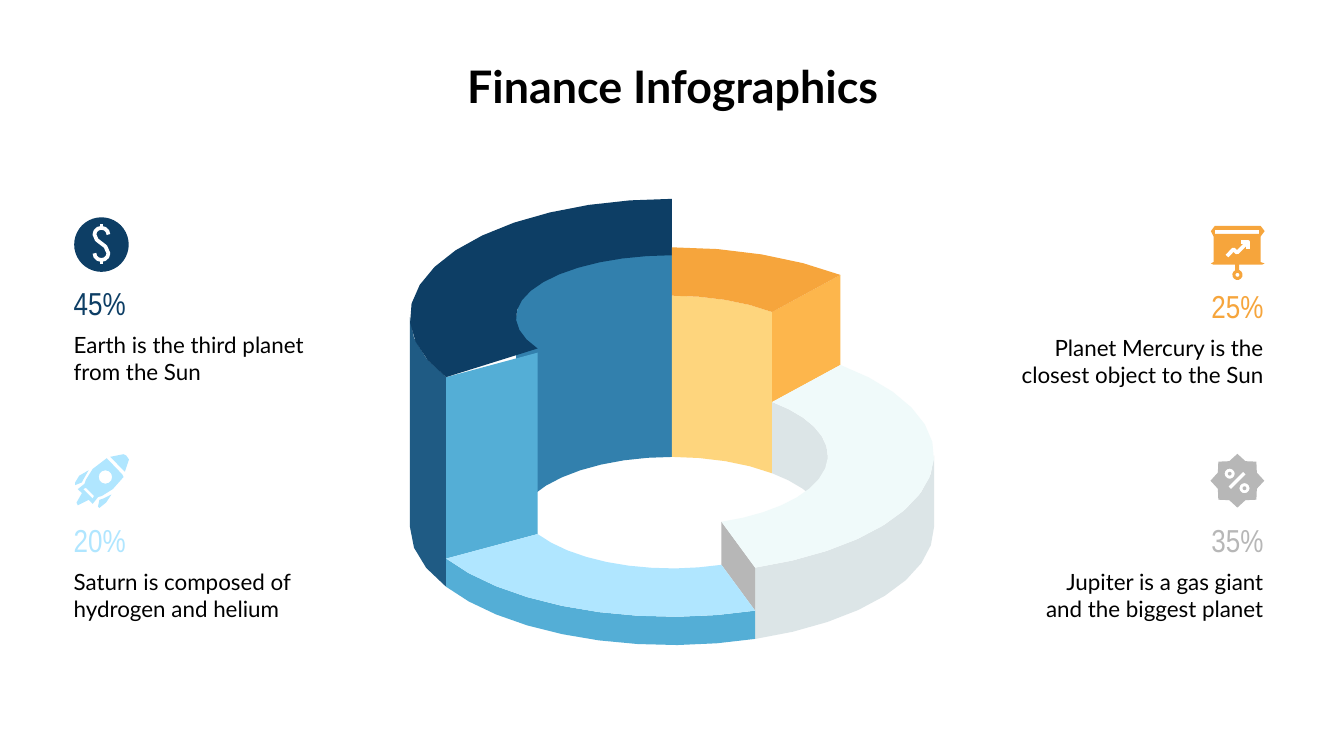
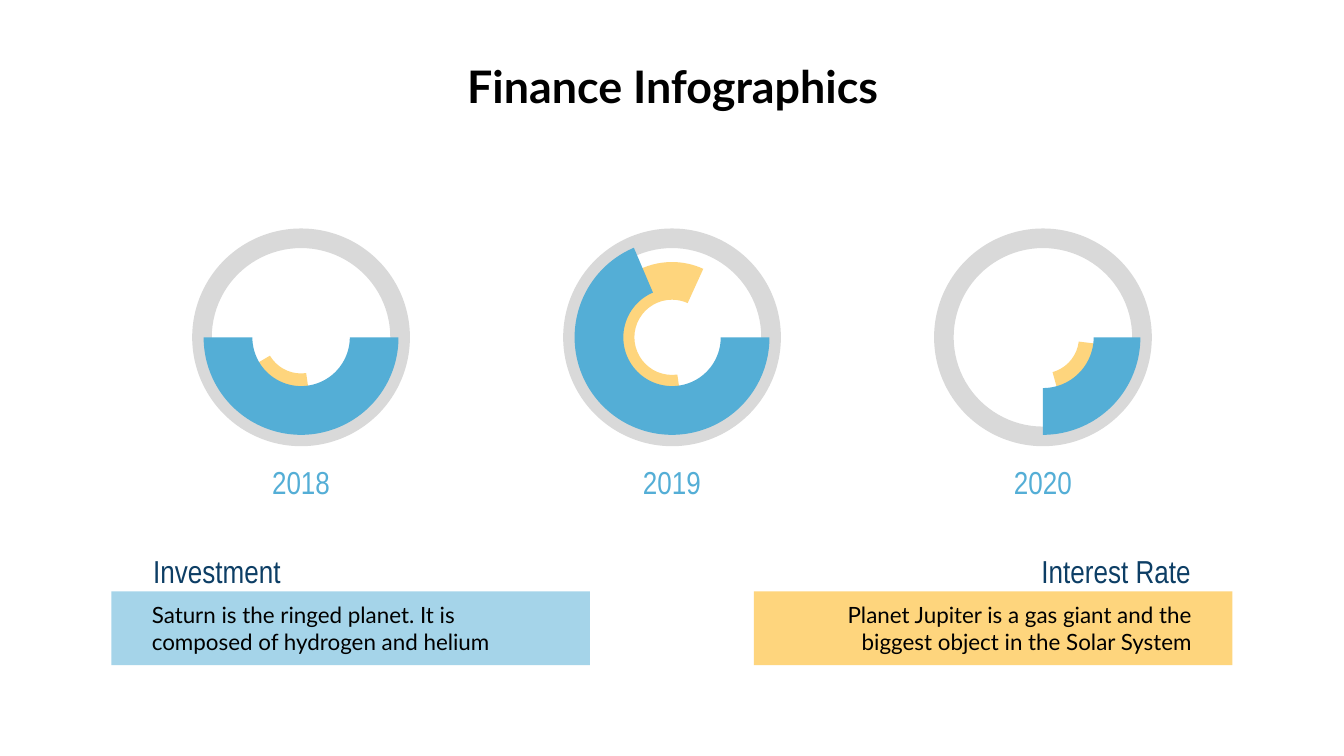
from dataclasses import dataclass
from math import cos, radians, sin

from lxml.etree import SubElement
from pptx import Presentation
from pptx.dml.color import RGBColor
from pptx.enum.shapes import MSO_SHAPE
from pptx.enum.text import MSO_ANCHOR, PP_ALIGN
from pptx.oxml.ns import qn
from pptx.util import Inches, Pt


@dataclass(frozen=True)
class Theme:
    black: str = "000000"
    white: str = "FFFFFF"
    navy: str = "0D3E65"
    deep_blue: str = "1F5B84"
    steel: str = "3280AD"
    blue: str = "54AED6"
    pale_blue: str = "B0E6FF"
    orange: str = "F6A53C"
    amber: str = "FDB64C"
    yellow: str = "FED57D"
    gray: str = "B7B7B7"
    ring_gray: str = "D9D9D9"
    mist: str = "DCE5E7"
    ice: str = "F0FAFA"
    text_font: str = "Lato"
    label_font: str = "Arial Narrow"
    title_size: int = 24
    label_size: int = 17
    text_size: int = 12


theme = Theme()
deck = Presentation()
deck.slide_width = Inches(10)
deck.slide_height = Inches(5.625)
column = deck.slide_width // 100


def write(page, text, left, top, width, height, *, preset=None, fill=None, alpha=None,
          adjust=(), rotation=0, size=theme.text_size, font=theme.text_font,
          color=theme.black, bold=False, align=PP_ALIGN.LEFT, anchor=MSO_ANCHOR.MIDDLE,
          inset_left=1, inset_right=1):
    place = [round(length * column) for length in (left, top, width, height)]
    if preset is None:
        box = page.shapes.add_textbox(*place)
    else:
        box = page.shapes.add_shape(preset, *place)
        box.shadow.inherit = False
        box.line.fill.background()
        box.fill.solid()
        box.fill.fore_color.rgb = RGBColor.from_string(fill)
        box.rotation = rotation
        for index, value in enumerate(adjust):
            box.adjustments[index] = value
        if alpha:
            tint = box.fill._xPr.find(".//" + qn("a:srgbClr"))
            SubElement(tint, qn("a:alpha")).set("val", str(alpha * 1000))
    if not text:
        return
    frame = box.text_frame
    frame.word_wrap = True
    frame.vertical_anchor = anchor
    frame.margin_top = frame.margin_bottom = column
    frame.margin_left = round(inset_left * column)
    frame.margin_right = round(inset_right * column)
    para = frame.paragraphs[0]
    para.alignment = align
    for number, line in enumerate(text.split("\n")):
        if number:
            para.add_line_break()
        span = para.add_run()
        span.text = line
        span.font.size = Pt(size)
        span.font.name = font
        span.font.bold = bold
        span.font.color.rgb = RGBColor.from_string(color)


def outline(page, contours, fill=None, stroke=None, weight=2):
    builder = None
    for contour in contours:
        points = []
        for part in contour:
            if len(part) == 2:
                points.append(part)
                continue
            x, y, across, down, start, end = part
            steps = max(3, round(abs(end - start) / (9 if across > 1 else 30)))
            for step in range(steps + 1):
                angle = radians(start + (end - start) * step / steps)
                points.append((x + across * cos(angle), y + down * sin(angle)))
        points = [(x * column, y * column) for x, y in points]
        if builder is None:
            builder = page.shapes.build_freeform(*points[0], scale=1.0)
        else:
            builder.move_to(*points[0])
        builder.add_line_segments(points[1:], close=fill is not None)
    shape = builder.convert_to_shape()
    shape.shadow.inherit = False
    if fill:
        shape.fill.solid()
        shape.fill.fore_color.rgb = RGBColor.from_string(fill)
        shape.line.fill.background()
    else:
        shape.fill.background()
        shape.line.color.rgb = RGBColor.from_string(stroke)
        shape.line.width = Pt(weight)


pages = []
for number in range(2):
    page = deck.slides.add_slide(deck.slide_layouts[6])
    write(page, "Finance Infographics", 2, 3.4, 96.1, 6.3, size=theme.title_size,
          bold=True, align=PP_ALIGN.CENTER, anchor=MSO_ANCHOR.TOP)
    pages.append(page)
ring_page, years_page = pages

center, base = 50, 39.2
outer, inner = (19.5, 8.8), (11.6, 5.2)
slices = [
    (23.6, 149.5, 270, (11.6, 4.6), theme.navy),
    (27.2, -90, -50, inner, theme.orange),
    (33.9, -50, 71.5, inner, theme.ice),
    (37.1, 71.5, 149.5, inner, theme.pale_blue),
]
walls = [
    (23.6, 180, 270, inner, theme.steel),
    (27.2, -90, -50, inner, theme.yellow),
    (33.9, -50, 0, inner, theme.mist),
    (23.6, 149.5, 180, outer, theme.deep_blue),
    (33.9, 0, 71.5, outer, theme.mist),
    (37.1, 71.5, 149.5, outer, theme.blue),
]
cuts = [
    (23.6, 37.1, 149.5, theme.blue),
    (27.2, 33.9, -50, theme.amber),
    (33.9, 37.1, 71.5, theme.gray),
]
for level, start, end, radius, color in walls:
    outline(ring_page, [[(center, level, *radius, start, end),
                         (center, base, *radius, end, start)]], fill=color)
for upper, lower, angle, color in cuts:
    corners = [(center + across * cos(radians(angle)), level + down * sin(radians(angle)))
               for level, radii in ((upper, (inner, outer)), (lower, (outer, inner)))
               for across, down in radii]
    outline(ring_page, [corners], fill=color)
for level, start, end, hole, color in slices:
    outline(ring_page, [[(center, level, *outer, start, end),
                         (center, level, *hole, end, start)]], fill=color)

facts = [
    (4.5, 20.2, "45%", "Earth is the third planet from the Sun", theme.navy, PP_ALIGN.LEFT),
    (4.5, 37.8, "20%", "Saturn is composed of hydrogen and helium", theme.pale_blue, PP_ALIGN.LEFT),
    (72.7, 20.4, "25%", "Planet Mercury is the closest object to the Sun", theme.orange, PP_ALIGN.RIGHT),
    (72.7, 37.8, "35%", "Jupiter is a gas giant\nand the biggest planet", theme.gray, PP_ALIGN.RIGHT),
]
for left, top, share, fact, color, align in facts:
    write(ring_page, share, left, top, 22.3, 4.7, size=theme.label_size,
          font=theme.label_font, color=color, align=align)
    write(ring_page, fact, left, top + 3.55, 22.3, 5.8, align=align)

coin = [[(7.55, 18.2, 2.03, 2.03, 0, 360)]]
dollar = [
    [(7.55, 17.45, 0.52, 0.5, 0, -180), (7.2, 17.85), (7.85, 18.35),
     (7.55, 18.85, 0.52, 0.5, 0, 180)],
    [(7.55, 16.7), (7.55, 16.95)],
    [(7.55, 19.35), (7.55, 19.65)],
]
board = [
    [(90.4, 16.8), (93.8, 16.8), (94.1, 17.2), (93.8, 17.6), (93.8, 19.5), (94.1, 19.6),
     (93.9, 19.7), (92.2, 19.7), (92.2, 20.1), (92.08, 20.45, 0.38, 0.38, -70, 250),
     (91.9, 20.1), (91.9, 19.7), (90.3, 19.7), (90.1, 19.6), (90.3, 19.5), (90.3, 17.6),
     (90.1, 17.2)],
    [(90.4, 17.1), (93.7, 17.1), (93.7, 17.4), (90.4, 17.4)],
    [(92.08, 20.45, 0.15, 0.15, 0, 360)],
]
trend = [
    [(91.3, 19.05), (91.78, 18.55), (92.05, 18.8), (92.8, 18.05)],
    [(92.35, 18), (92.85, 18), (92.85, 18.5)],
]
badge = [
    [(92.07 + radius * cos(radians(45 * tip + turn)), 35.77 + radius * sin(radians(45 * tip + turn)))
     for tip in range(8) for radius, turn in ((2, 0), (1.57, 22.5))],
    [(91.4, 36.2), (92.5, 35.1), (92.7, 35.3), (91.6, 36.4)],
]
for x, y in ((91.5, 35.25), (92.6, 36.33)):
    badge += [[(x, y, radius, radius, 0, 360)] for radius in (0.38, 0.14)]
rocket = [
    [(7.95, 34.1), (6.9, 34.9), (6.4, 35.7), (6.3, 36), (5.8, 36.4), (6.1, 36.7),
     (5.7, 37.4), (5.8, 37.6), (6.6, 37.2), (6.9, 37.5), (7.3, 37), (7.6, 36.9),
     (8.4, 36.4), (9.2, 35.5), (9.1, 35.3)],
    [(7.85, 35.5, 0.5, 0.5, 0, 360)],
    [(6.4, 36.3), (7, 36.9), (6.9, 37.1), (6.2, 36.4)],
    [(9.2, 33.8), (8.2, 34), (9.3, 35.1), (9.6, 34.2), (9.4, 33.9)],
    [(8.3, 36.8), (7.7, 37.1), (7.4, 37.2), (7.3, 37.7), (7.4, 37.8), (7.9, 37.4)],
    [(6.6, 35), (5.9, 35.4), (5.6, 35.9), (5.6, 36.1), (6.1, 35.9), (6.2, 35.7)],
]
icons = [(coin, theme.navy), (board, theme.orange), (badge, theme.gray), (rocket, theme.pale_blue)]
for contours, color in icons:
    outline(ring_page, contours, fill=color)
for strokes in (dollar, trend):
    outline(ring_page, strokes, stroke=theme.white)

gauges = [
    ("2018", 149.43, 0.26, 0, 0, 0.25),
    ("2019", 294.55, 0.25, 0, 66.94, 0.25),
    ("2020", 149.43, 0.26, 285, 270, 0.24),
]
arc, donut = MSO_SHAPE.BLOCK_ARC, MSO_SHAPE.DONUT
degree = 0.6
for index, (year, rate_end, rate_width, rate_turn, invested_end, invested_width) in enumerate(gauges):
    middle = 22.4 + 27.6 * index
    rings = [
        (arc, 11.2, theme.yellow, (81.84 * degree, rate_end * degree, rate_width), rate_turn),
        (donut, 16.2, theme.ring_gray, (0.09,), 0),
        (arc, 14.5, theme.blue, (180 * degree, invested_end * degree, invested_width), 180),
    ]
    for preset, size, color, adjust, rotation in rings:
        write(years_page, "", middle - size / 2, 25.1 - size / 2, size, size, preset=preset,
              fill=color, adjust=adjust, rotation=rotation)
    write(years_page, year, middle - 5.85, 34.1, 11.7, 3.5, size=theme.label_size,
          font=theme.label_font, color=theme.blue, align=PP_ALIGN.CENTER)

legend = [
    ("Investment", "Saturn is the ringed planet. It is composed of hydrogen and helium",
     8.3, 8.3, 3.1, 1, theme.blue, 52, PP_ALIGN.LEFT),
    ("Interest Rate", "Planet Jupiter is a gas giant and the biggest object in the Solar System",
     56.1, 70.8, 1, 3.1, theme.yellow, None, PP_ALIGN.RIGHT),
]
for name, note, left, name_left, inset_left, inset_right, color, alpha, align in legend:
    write(years_page, note, left, 44, 35.6, 5.5, preset=MSO_SHAPE.RECTANGLE, fill=color,
          alpha=alpha, align=align, inset_left=3, inset_right=3)
    write(years_page, name, name_left, 40.1, 20.9, 4.7, size=theme.label_size,
          font=theme.label_font, color=theme.navy, align=align, inset_left=inset_left,
          inset_right=inset_right)

deck.save("out.pptx")
